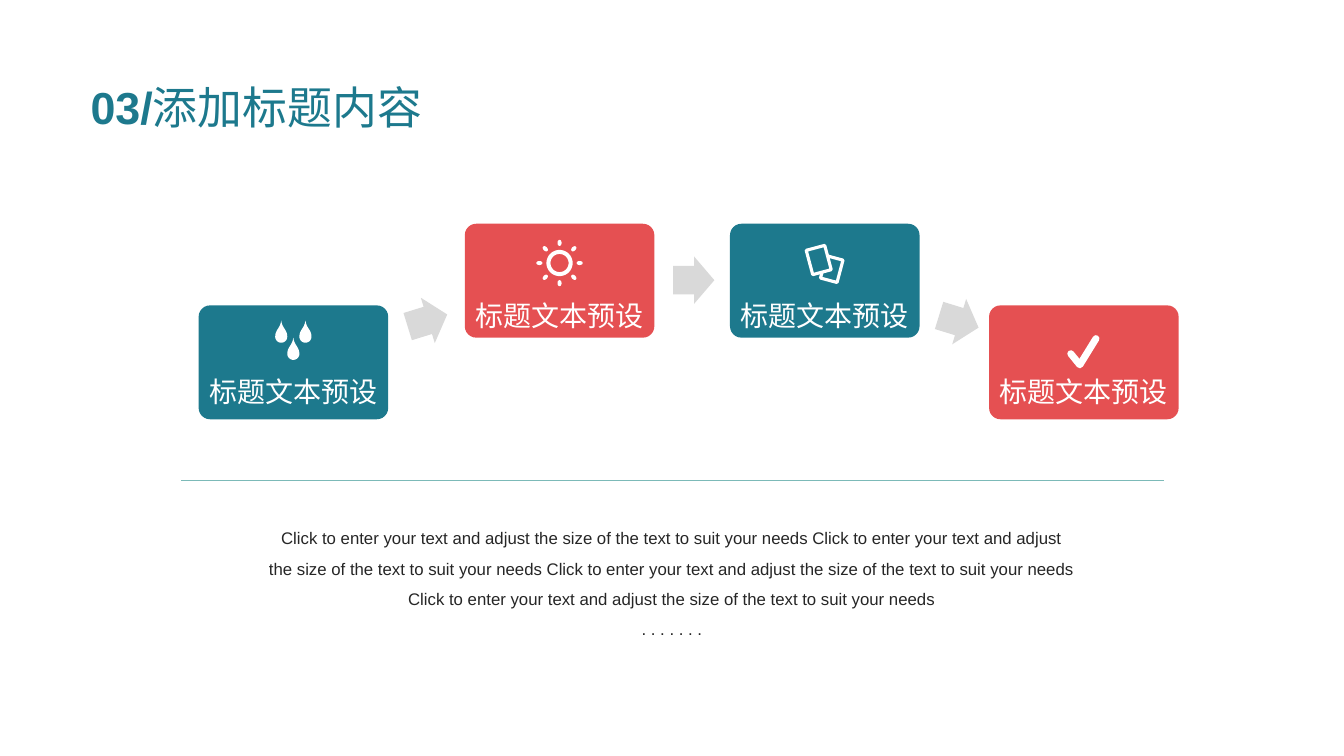
"""Build a slide with four process cards, linking arrows and a caption."""
import math

import pptx
import pptx.dml.color
import pptx.enum.shapes
import pptx.enum.text
import pptx.oxml
import pptx.oxml.ns
import pptx.util

Inches = pptx.util.Inches
Pt = pptx.util.Pt
KINDS = pptx.enum.shapes.MSO_SHAPE
ALIGN = pptx.enum.text.PP_ALIGN
ANCHOR = pptx.enum.text.MSO_ANCHOR

TEAL, RED, GREY, WHITE = "1D798D", "E55052", "D9D9D9", "FFFFFF"
RULE, DARK = "7CBAB8", "262626"
CJK_FONT = "Noto Sans CJK SC"
TITLE = [
    ("03/", {"size": Pt(32), "name": "Arial", "bold": True}, TEAL),
    ("添加标题内容", {"size": Pt(32), "name": CJK_FONT, "bold": False}, TEAL),
]
LABEL = "标题文本预设"
SENTENCE = "Click to enter your text and adjust the size of the text to suit your needs"
CAPTION = [" ".join([SENTENCE] * 4), ". . . . . . ."]
CARD_SIZE = (1.88, 1.13)
LABEL_SIZE = (2.05, 0.55)
CARDS = [
    (1.97, 3.03, TEAL, 3.5),
    (4.61, 2.22, RED, 2.75),
    (7.24, 2.22, TEAL, 2.75),
    (9.81, 3.03, RED, 3.5),
]
ARROW_SIZE = (0.41, 0.47)
ARROWS = [(4.24, 3.18, -17.1), (6.88, 2.78, 0), (9.51, 3.19, 17.1)]
DROP_TIPS = [(2.79, 3.18), (3.03, 3.18), (2.91, 3.35)]
DROP_RADIUS, DROP_DEPTH = 0.06, 0.16
SUN_CENTER, SUN_RADII = (5.55, 2.61), (0.13, 0.09)
RAY_DISTANCE, RAY_RADII = 0.2, (0.03, 0.02)
SHEETS = [(8.25, 2.67, 0.17, 0.23, 15), (8.12, 2.58, 0.19, 0.25, -15)]
CHECK = [(10.62, 3.51), (10.71, 3.62), (10.87, 3.36)]


def color(value):
    return pptx.dml.color.RGBColor.from_string(value)


def paint(shape, fill=None, line=None, width=0):
    shape.shadow.inherit = False
    for part, value in ((shape.fill, fill), (shape.line.fill, line)):
        if value:
            part.solid()
            part.fore_color.rgb = color(value)
        else:
            part.background()
    if line:
        shape.line.width = Pt(width)


def add_centered(slide, kind, center, size, fill, angle=0, adjustments=(), **outline):
    lefts = [middle - length / 2 for middle, length in zip(center, size)]
    shape = slide.shapes.add_shape(kind, *map(Inches, (*lefts, *size)))
    shape.rotation = angle
    for index, value in enumerate(adjustments):
        shape.adjustments[index] = value
    paint(shape, fill, **outline)


def add_outline(slide, contours, close=True):
    builder = None
    for points in contours:
        vertices = [(Inches(x), Inches(y)) for x, y in points]
        if builder is None:
            builder = slide.shapes.build_freeform(*vertices[0])
        else:
            builder.move_to(*vertices[0])
        builder.add_line_segments(vertices[1:], close=close)
    return builder.convert_to_shape()


def add_text(slide, box, paragraphs, align, spacing, anchor=ANCHOR.TOP):
    frame = slide.shapes.add_textbox(*map(Inches, box)).text_frame
    frame.word_wrap = True
    frame.vertical_anchor = anchor
    for index, runs in enumerate(paragraphs):
        paragraph = frame.add_paragraph() if index else frame.paragraphs[0]
        paragraph.alignment = align
        paragraph.line_spacing = spacing
        for text, font, value in runs:
            run = paragraph.add_run()
            run.text = text
            for name, setting in font.items():
                setattr(run.font, name, setting)
            run.font.color.rgb = color(value)
            east_asian = pptx.oxml.parse_xml(
                f'<a:ea {pptx.oxml.ns.nsdecls("a")} typeface="{CJK_FONT}"/>')
            run.font._element.append(east_asian)


def drop_points(left, top):
    side = []
    for step in range(9):
        t = step / 8
        x = 3 * (1 - t) ** 2 * t * 0.01 + 3 * (1 - t) * t ** 2 * 0.06 + t ** 3 * DROP_RADIUS
        y = 3 * (1 - t) ** 2 * t * 0.08 + 3 * (1 - t) * t ** 2 * 0.09 + t ** 3 * DROP_DEPTH
        side.append((x, y))
    for step in range(1, 9):
        angle = math.pi / 2 * step / 8
        side.append((DROP_RADIUS * math.cos(angle),
                     DROP_DEPTH + DROP_RADIUS * math.sin(angle)))
    mirrored = [(-x, y) for x, y in side[-2:0:-1]]
    return [(left + x, top + y) for x, y in side + mirrored]


def ellipse_points(center, across, along, turn=0, direction=1):
    points = []
    for step in range(40):
        angle = direction * math.tau * step / 40
        x, y = across * math.cos(angle), along * math.sin(angle)
        points.append((center[0] + x * math.cos(turn) - y * math.sin(turn),
                       center[1] + x * math.sin(turn) + y * math.cos(turn)))
    return points


def sun_contours():
    outer, inner = SUN_RADII
    contours = [ellipse_points(SUN_CENTER, outer, outer),
                ellipse_points(SUN_CENTER, inner, inner, direction=-1)]
    for step in range(8):
        turn = math.tau * step / 8
        center = (SUN_CENTER[0] + RAY_DISTANCE * math.cos(turn),
                  SUN_CENTER[1] + RAY_DISTANCE * math.sin(turn))
        contours.append(ellipse_points(center, *RAY_RADII, turn))
    return contours


def add_icons(slide):
    paint(add_outline(slide, [drop_points(*tip) for tip in DROP_TIPS]), WHITE)
    paint(add_outline(slide, sun_contours()), WHITE)
    for x, y, width, height, angle in SHEETS:
        add_centered(slide, KINDS.RECTANGLE, (x, y), (width, height), TEAL,
                     angle, line=WHITE, width=2.25)
    check = add_outline(slide, [CHECK], close=False)
    paint(check, line=WHITE, width=5)
    stroke = check._element.spPr.find(pptx.oxml.ns.qn("a:ln"))
    stroke.set("cap", "rnd")
    stroke.append(pptx.oxml.parse_xml(f'<a:round {pptx.oxml.ns.nsdecls("a")}/>'))


def main():
    presentation = pptx.Presentation()
    presentation.slide_width, presentation.slide_height = Inches(13.33), Inches(7.5)
    slide = presentation.slides.add_slide(presentation.slide_layouts[6])

    label_font = {"size": Pt(20), "name": "Arial"}
    for left, top, fill, label_top in CARDS:
        middle = left + CARD_SIZE[0] / 2
        add_centered(slide, KINDS.ROUNDED_RECTANGLE, (middle, top + CARD_SIZE[1] / 2),
                     CARD_SIZE, fill, adjustments=[0.1])
        add_text(slide, (middle - LABEL_SIZE[0] / 2, label_top, *LABEL_SIZE),
                 [[(LABEL, label_font, WHITE)]], ALIGN.CENTER, 1.5)
    for x, y, angle in ARROWS:
        add_centered(slide, KINDS.RIGHT_ARROW, (x, y), ARROW_SIZE, GREY, angle, [0.6, 0.49])
    add_icons(slide)

    rule = slide.shapes.add_connector(
        pptx.enum.shapes.MSO_CONNECTOR.STRAIGHT, *map(Inches, (1.8, 4.77, 11.54, 4.77)))
    rule.line.color.rgb = color(RULE)
    rule.line.width = Pt(0.5)
    rule._element.spPr.append(
        pptx.oxml.parse_xml(f'<a:effectLst {pptx.oxml.ns.nsdecls("a")}/>'))

    caption_font = {"size": Pt(12), "name": "Arial"}
    add_text(slide, (2.56, 5.09, 8.21, 1.28),
             [[(text, caption_font, DARK)] for text in CAPTION], ALIGN.CENTER, 1.5)
    add_text(slide, (0.8, 0.74, 4.06, 0.64), [TITLE], ALIGN.LEFT, 1.0, ANCHOR.MIDDLE)
    presentation.save("out.pptx")


if __name__ == "__main__":
    main()
